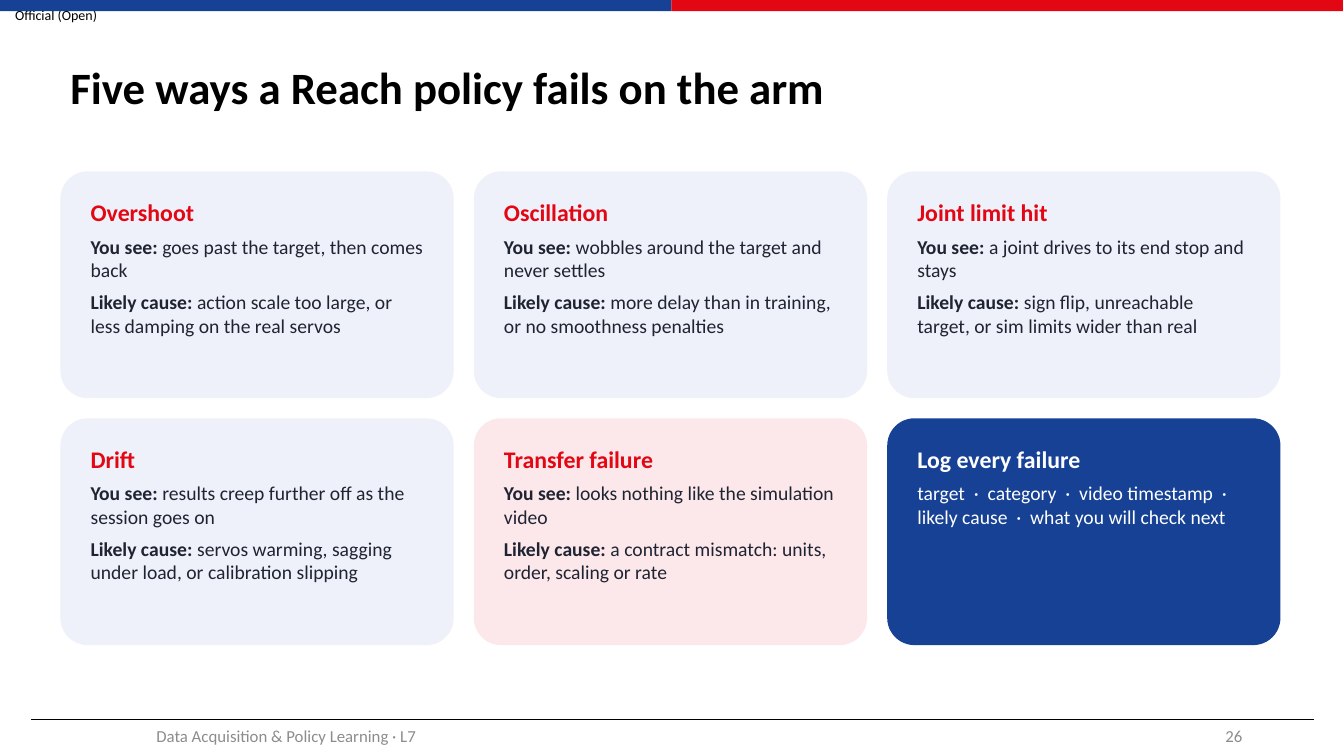
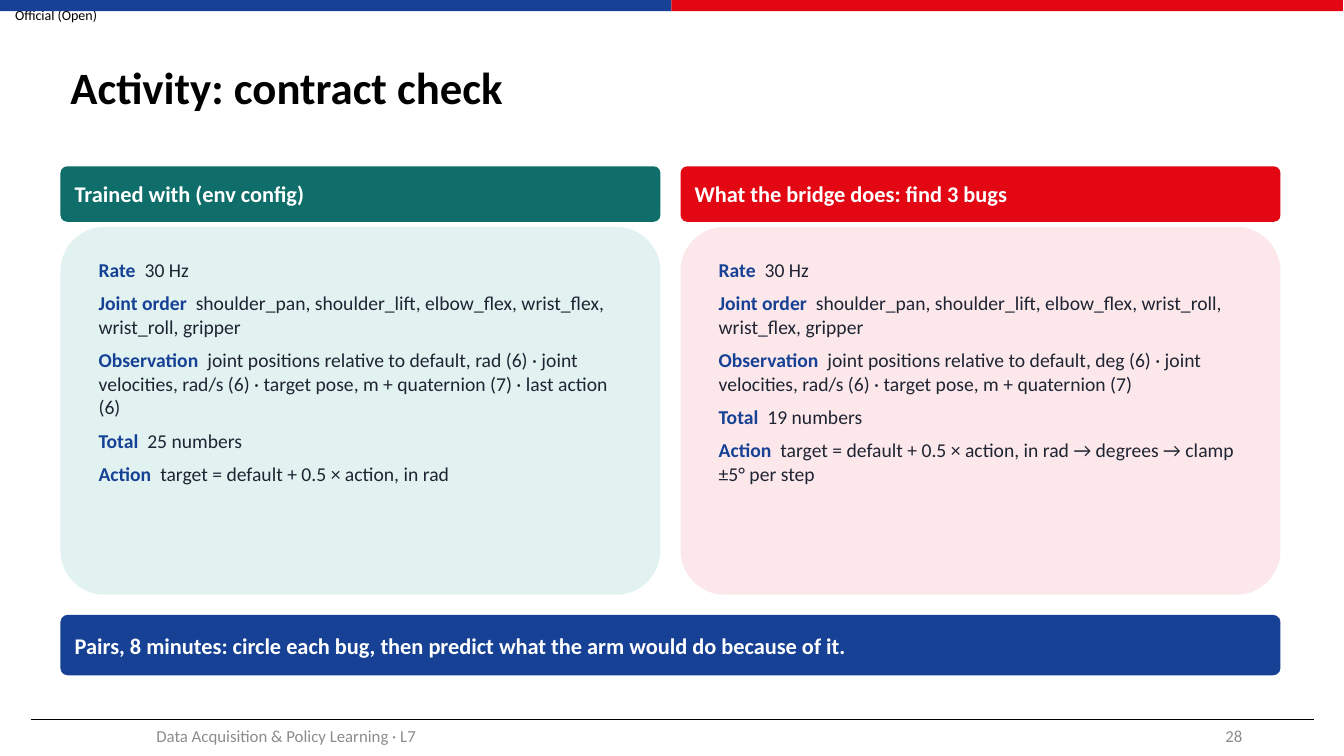
from lxml import etree
from pptx import Presentation
from pptx.dml.color import RGBColor
from pptx.enum.shapes import MSO_CONNECTOR, MSO_SHAPE
from pptx.enum.text import MSO_ANCHOR, PP_ALIGN
from pptx.oxml.ns import qn
from pptx.util import Pt

"""Builds two lesson slides on policy failures and a contract check."""

PX = 9144
FONT = "Calibri"
RECT, ROUND = MSO_SHAPE.RECTANGLE, MSO_SHAPE.ROUNDED_RECTANGLE
LINE = MSO_CONNECTOR.STRAIGHT
TOP, MIDDLE = MSO_ANCHOR.TOP, MSO_ANCHOR.MIDDLE
LEFT, CENTER, RIGHT = PP_ALIGN.LEFT, PP_ALIGN.CENTER, PP_ALIGN.RIGHT

COLORS = {
    "black": "000000", "white": "FFFFFF", "blue": "164194", "red": "E30613",
    "teal": "0F6E6A", "ink": "1F2433", "grey": "8C8C8C",
    "pale_blue": "EEF1F9", "pale_red": "FCE8EA", "pale_teal": "E2F2F1",
}

WIDTH, HEIGHT = 1333, 750
MARGIN, CONTENT_W, GAP = 60, 1210, 20
TEXT_INSET, CARD_INSET = (10, 5), (22, 18)
BAR_INSET, PANEL_INSET = (12, 6), (25, 18)

MARKING = "Official (Open)"
FOOTER = "Data Acquisition & Policy Learning · L7"

FAILURES_TITLE, FAILURES_PAGE = "Five ways a Reach policy fails on the arm", 26
FAILURES = [
    ("Overshoot", "goes past the target, then comes back",
     "action scale too large, or less damping on the real servos", "pale_blue"),
    ("Oscillation", "wobbles around the target and never settles",
     "more delay than in training, or no smoothness penalties", "pale_blue"),
    ("Joint limit hit", "a joint drives to its end stop and stays",
     "sign flip, unreachable target, or sim limits wider than real", "pale_blue"),
    ("Drift", "results creep further off as the session goes on",
     "servos warming, sagging under load, or calibration slipping", "pale_blue"),
    ("Transfer failure", "looks nothing like the simulation video",
     "a contract mismatch: units, order, scaling or rate", "pale_red"),
]
LOG_HEAD = "Log every failure"
LOG_FIELDS = ["target", "category", "video timestamp", "likely cause",
              "what you will check next"]

ACTIVITY_TITLE, ACTIVITY_PAGE = "Activity: contract check", 28
CONTRACTS = [
    ("Trained with (env config)", "teal", "pale_teal", [
        ("Rate", "30 Hz"),
        ("Joint order", "shoulder_pan, shoulder_lift, elbow_flex, wrist_flex, "
                        "wrist_roll, gripper"),
        ("Observation", "joint positions relative to default, rad (6) · joint "
                        "velocities, rad/s (6) · target pose, m + quaternion (7) "
                        "· last action (6)"),
        ("Total", "25 numbers"),
        ("Action", "target = default + 0.5 × action, in rad"),
    ]),
    ("What the bridge does: find 3 bugs", "red", "pale_red", [
        ("Rate", "30 Hz"),
        ("Joint order", "shoulder_pan, shoulder_lift, elbow_flex, wrist_roll, "
                        "wrist_flex, gripper"),
        ("Observation", "joint positions relative to default, deg (6) · joint "
                        "velocities, rad/s (6) · target pose, m + quaternion (7)"),
        ("Total", "19 numbers"),
        ("Action", "target = default + 0.5 × action, in rad → degrees → clamp "
                   "±5° per step"),
    ]),
]
TASK = "Pairs, 8 minutes: circle each bug, then predict what the arm would do because of it."


def rgb(name):
    return RGBColor.from_string(COLORS[name])


def emu(*lengths):
    return [length * PX for length in lengths]


def write(sp, paragraphs, inset=TEXT_INSET, anchor=MIDDLE, align=LEFT, after=0):
    """Fill a shape with paragraphs of (text, size, colour, bold) runs."""
    tf = sp.text_frame
    tf.word_wrap = True
    tf.vertical_anchor = anchor
    tf.margin_left = tf.margin_right = inset[0] * PX
    tf.margin_top = tf.margin_bottom = inset[1] * PX
    for i, runs in enumerate(paragraphs):
        p = tf.add_paragraph() if i else tf.paragraphs[0]
        p.alignment = align
        p.space_after = Pt(after)
        for text, size, color, bold in runs:
            r = p.add_run()
            r.text = text
            r.font.name, r.font.size, r.font.bold = FONT, Pt(size), bold
            r.font.color.rgb = rgb(color)


def add_text(s, box, run, **style):
    sp = s.shapes.add_textbox(*emu(*box))
    write(sp, [[run]], **style)
    return sp


def add_block(s, kind, box, fill):
    sp = s.shapes.add_shape(kind, *emu(*box))
    sp.shadow.inherit = False
    sp.fill.solid()
    sp.fill.fore_color.rgb = rgb(fill)
    sp.line.fill.background()
    if kind == ROUND:
        sp.adjustments[0] = 0.12
    return sp


def add_bar(s, box, fill, text):
    write(add_block(s, ROUND, box, fill), [[(text, 16, "white", True)]], BAR_INSET)


def add_slide(prs, title, page):
    s = prs.slides.add_slide(prs.slide_layouts[6])
    add_text(s, (15, 0, 110, 29), (MARKING, 10, "black", False), inset=(0, 0))
    half = WIDTH / 2
    for i, color in enumerate(("blue", "red")):
        add_block(s, RECT, [round(v) for v in (i * half, 0, half, 11)], color)
    rule = s.shapes.add_connector(LINE, *emu(31, 714, 1303, 714))
    rule.line.color.rgb = rgb("black")
    rule.line.width = Pt(0.5)
    etree.SubElement(rule._element.spPr, qn("a:effectLst"))
    sp = add_text(s, (MARGIN, 30, 1208, 118), (title, 32, "black", True))
    sp.text_frame.paragraphs[0].line_spacing = 0.9
    add_text(s, (59, 710, 450, 40), (FOOTER, 12, "grey", False), align=CENTER)
    add_text(s, (942, 710, 300, 40), (str(page), 12, "grey", False), align=RIGHT)
    return s


def build_failures(prs):
    s = add_slide(prs, FAILURES_TITLE, FAILURES_PAGE)
    cards = [(fill, [[(head, 17, "red", True)],
                     [("You see: ", 14, "ink", True), (sign, 14, "ink", False)],
                     [("Likely cause: ", 14, "ink", True), (cause, 14, "ink", False)]])
             for head, sign, cause, fill in FAILURES]
    cards.append(("blue", [[(LOG_HEAD, 17, "white", True)],
                           [("  ·  ".join(LOG_FIELDS), 14, "white", False)]]))
    columns, h = 3, 225
    w = (CONTENT_W - (columns - 1) * GAP) // columns
    for i, (fill, paragraphs) in enumerate(cards):
        row, col = divmod(i, columns)
        box = (MARGIN + col * (w + GAP), 170 + row * (h + GAP), w, h)
        write(add_block(s, ROUND, box, fill), paragraphs, CARD_INSET, TOP, after=6)


def build_activity(prs):
    s = add_slide(prs, ACTIVITY_TITLE, ACTIVITY_PAGE)
    w = (CONTENT_W - GAP) // 2
    for i, (head, dark, pale, terms) in enumerate(CONTRACTS):
        x = MARGIN + i * (w + GAP)
        add_bar(s, (x, 165, w, 55), dark, head)
        panel = add_block(s, ROUND, (x, 225, w, 365), pale)
        write(panel, [[(f"{term}  ", 14, "blue", True), (value, 14, "ink", False)]
                      for term, value in terms], PANEL_INSET, TOP, after=7)
    add_bar(s, (MARGIN, 610, CONTENT_W, 60), "blue", TASK)


def main():
    prs = Presentation()
    prs.slide_width, prs.slide_height = emu(WIDTH, HEIGHT)
    build_failures(prs)
    build_activity(prs)
    prs.save("out.pptx")


if __name__ == "__main__":
    main()
